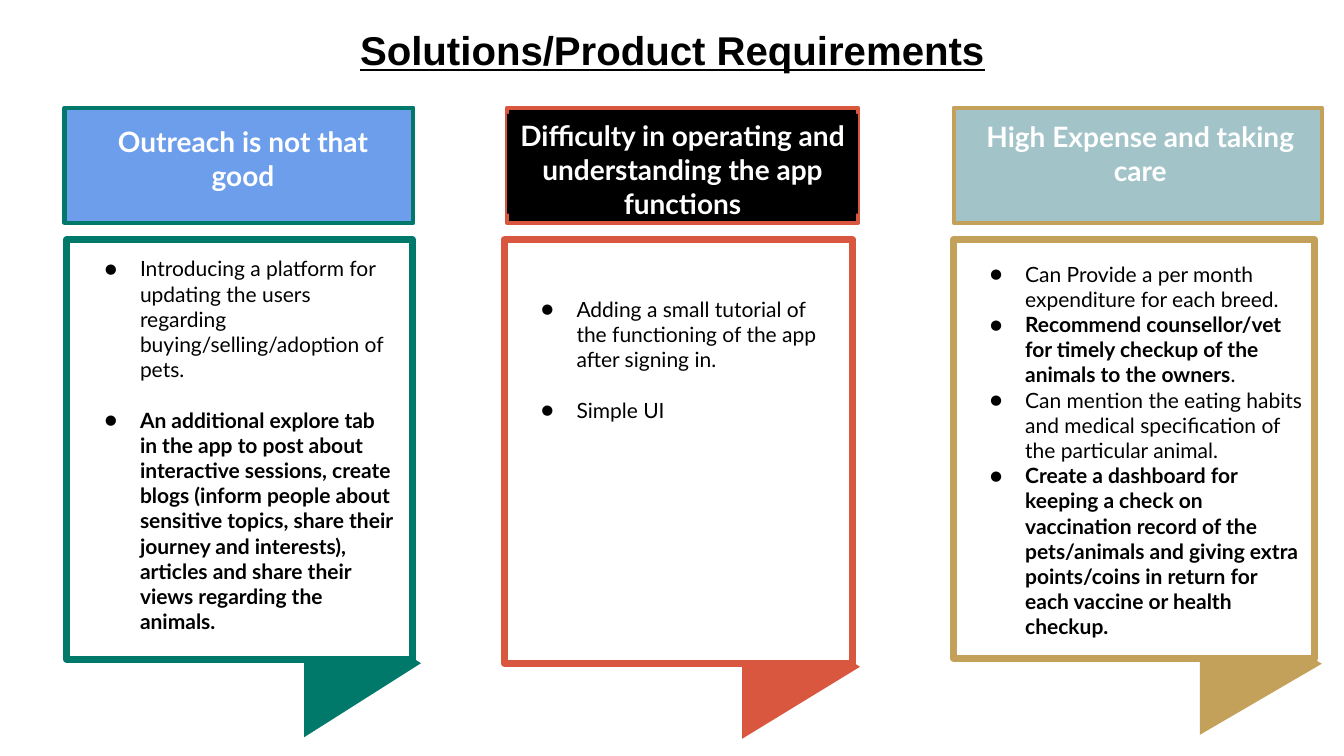
from dataclasses import dataclass

from lxml.etree import SubElement
from pptx import Presentation
from pptx.dml.color import RGBColor
from pptx.enum.shapes import MSO_SHAPE
from pptx.enum.text import MSO_ANCHOR, PP_ALIGN
from pptx.oxml.ns import qn
from pptx.util import Inches, Pt


@dataclass(frozen=True)
class Theme:
    ink: str = "000000"
    paper: str = "FFFFFF"
    green: str = "00796B"
    red: str = "D9563F"
    gold: str = "C4A15A"
    blue: str = "6D9EEB"
    teal: str = "A2C4C9"
    title_font: str = "Arial"
    body_font: str = "Lato"
    title_size: float = 28.7
    header_size: float = 20
    body_size: float = 15
    header_line: float = 3
    panel_line: float = 5
    item_gap: float = 18


THEME = Theme()

COLUMNS = [
    dict(
        header="Outreach is not that good",
        accent=THEME.green, fill=THEME.blue,
        header_box=(0.64, 1.07, 3.46, 1.14), label_box=(0.79, 1.19, 3.24, 0.68),
        panel_box=(0.66, 2.38, 3.43, 4.16), list_box=(0.79, 2.49, 3.21, 3.87),
        tail_box=(2.86, 6, 1.47, 1.16), gap=THEME.item_gap,
        items=[
            [("Introducing a platform for updating the users regarding "
              "buying/selling/adoption of pets.", False)],
            [("An additional explore tab in the app to post about interactive sessions, "
              "create blogs (inform people about sensitive topics, share their journey "
              "and interests), articles and share their views regarding the animals.", True)],
        ],
    ),
    dict(
        header="Difficulty in operating and understanding the app functions",
        accent=THEME.red, fill=THEME.ink, label_fill=THEME.ink,
        header_box=(5.03, 1.07, 3.48, 1.14), label_box=(5.03, 1.13, 3.48, 0.99),
        panel_box=(5, 2.38, 3.46, 4.2), list_box=(5.12, 2.89, 3.23, 1.36),
        tail_box=(7.23, 6.03, 1.43, 1.17), gap=THEME.item_gap,
        items=[
            [("Adding a small tutorial of the functioning of the app after signing in.", False)],
            [("Simple UI", False)],
        ],
    ),
    dict(
        header="High Expense and taking care",
        accent=THEME.gold, fill=THEME.teal,
        header_box=(9.46, 1.07, 3.65, 1.14), label_box=(9.57, 1.14, 3.48, 1.03),
        panel_box=(9.46, 2.38, 3.58, 4.15), list_box=(9.57, 2.54, 3.46, 3.89),
        tail_box=(11.8, 5.98, 1.41, 1.21), gap=0,
        items=[
            [("Can Provide a per month expenditure for each breed.", False)],
            [("Recommend counsellor/vet for timely checkup of the animals to the owners", True),
             (".", False)],
            [("Can mention the eating habits and medical specification of the particular "
              "animal.", False)],
            [("Create a dashboard for keeping a check on vaccination record of the "
              "pets/animals and giving extra points/coins in return for each vaccine or "
              "health checkup.", True)],
        ],
    ),
]


def inches(box):
    return [Inches(v) for v in box]


def add_block(s, kind, box, fill, line=None, width=0, rotation=0):
    sp = s.shapes.add_shape(kind, *inches(box))
    sp.shadow.inherit = False
    sp.rotation = rotation
    sp.fill.solid()
    sp.fill.fore_color.rgb = RGBColor.from_string(fill)
    if line:
        sp.line.color.rgb = RGBColor.from_string(line)
        sp.line.width = Pt(width)
    else:
        sp.line.fill.background()
    return sp


def add_bullet(p):
    pPr = p._p.get_or_add_pPr()
    pPr.set("marL", str(Inches(0.5)))
    pPr.set("indent", str(Inches(-0.35)))
    color = SubElement(pPr, qn("a:buClr"))
    SubElement(color, qn("a:srgbClr")).set("val", THEME.ink)
    SubElement(pPr, qn("a:buFont")).set("typeface", THEME.body_font)
    SubElement(pPr, qn("a:buChar")).set("char", "●")


def add_text(s, box, paragraphs, size, font=THEME.body_font, color=THEME.ink, fill=None,
             align=PP_ALIGN.LEFT, anchor=MSO_ANCHOR.TOP, margin=0.1, spacing=None,
             gap=0, bullets=False, underline=False):
    sp = s.shapes.add_textbox(*inches(box))
    if fill:
        sp.fill.solid()
        sp.fill.fore_color.rgb = RGBColor.from_string(fill)
    tf = sp.text_frame
    tf.word_wrap = True
    tf.vertical_anchor = anchor
    tf.margin_left = tf.margin_right = Inches(margin)
    tf.margin_top = tf.margin_bottom = Inches(0.05)
    for i, runs in enumerate(paragraphs):
        p = tf.paragraphs[0] if i == 0 else tf.add_paragraph()
        if bullets:
            add_bullet(p)
        p.alignment = align
        if spacing:
            p.line_spacing = spacing
        if i and gap:
            p.space_before = Pt(gap)
        for text, bold in runs:
            r = p.add_run()
            r.text = text
            r.font.name = font
            r.font.size = Pt(size)
            r.font.bold = bold
            r.font.underline = underline
            r.font.color.rgb = RGBColor.from_string(color)


def add_header(s, col):
    add_block(s, MSO_SHAPE.RECTANGLE, col["header_box"], col["fill"],
              col["accent"], THEME.header_line)
    add_text(s, col["label_box"], [[(col["header"], True)]], THEME.header_size,
             color=THEME.paper, fill=col.get("label_fill"), align=PP_ALIGN.CENTER, margin=0.12)


def add_panel(s, col):
    add_block(s, MSO_SHAPE.ISOSCELES_TRIANGLE, col["tail_box"], col["accent"], rotation=90)
    add_block(s, MSO_SHAPE.RECTANGLE, col["panel_box"], THEME.paper,
              col["accent"], THEME.panel_line)
    add_text(s, col["list_box"], col["items"], THEME.body_size, gap=col["gap"], bullets=True)


def main():
    prs = Presentation()
    prs.slide_width, prs.slide_height = Inches(13.33), Inches(7.5)
    s = prs.slides.add_slide(prs.slide_layouts[6])
    add_text(s, (0.34, 0.12, 12.66, 0.79), [[("Solutions/Product Requirements", True)]],
             THEME.title_size, font=THEME.title_font, align=PP_ALIGN.CENTER,
             anchor=MSO_ANCHOR.MIDDLE, spacing=0.95, underline=True)
    for col in COLUMNS:
        add_panel(s, col)
        add_header(s, col)
    prs.save("out.pptx")


if __name__ == "__main__":
    main()
